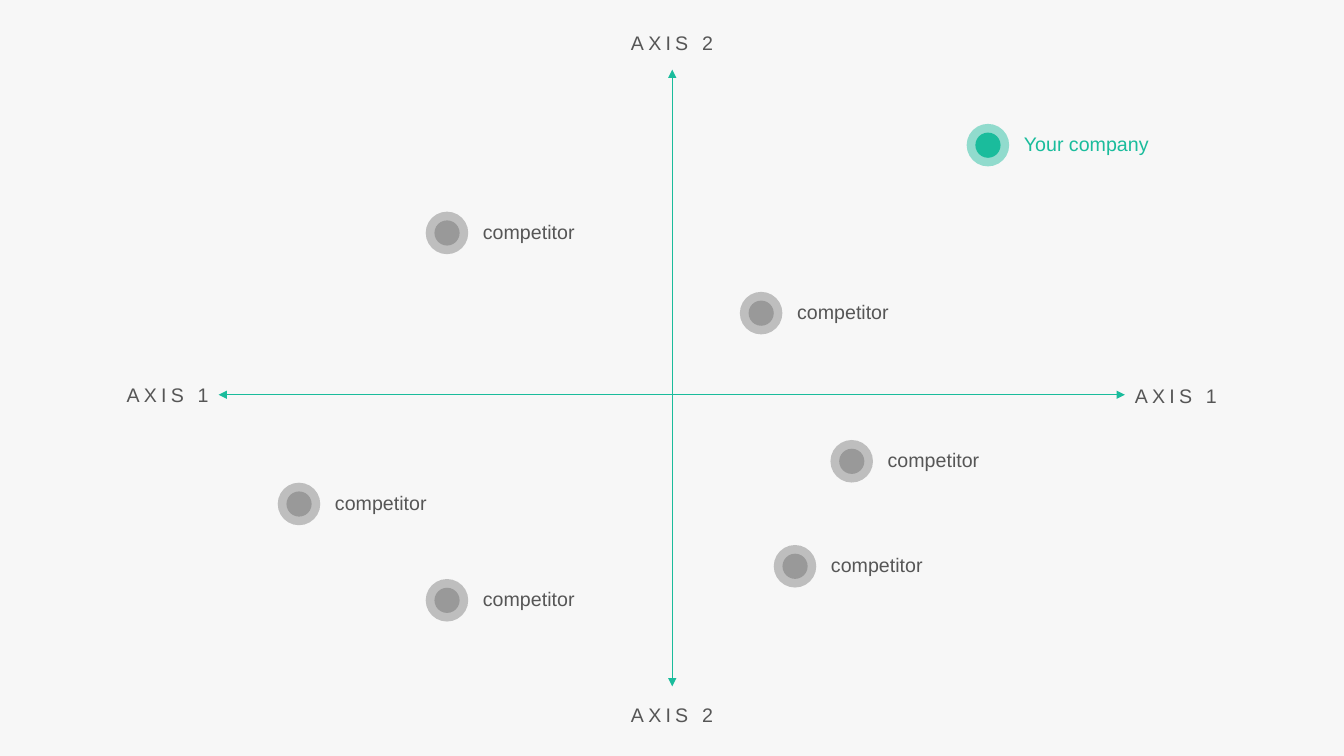
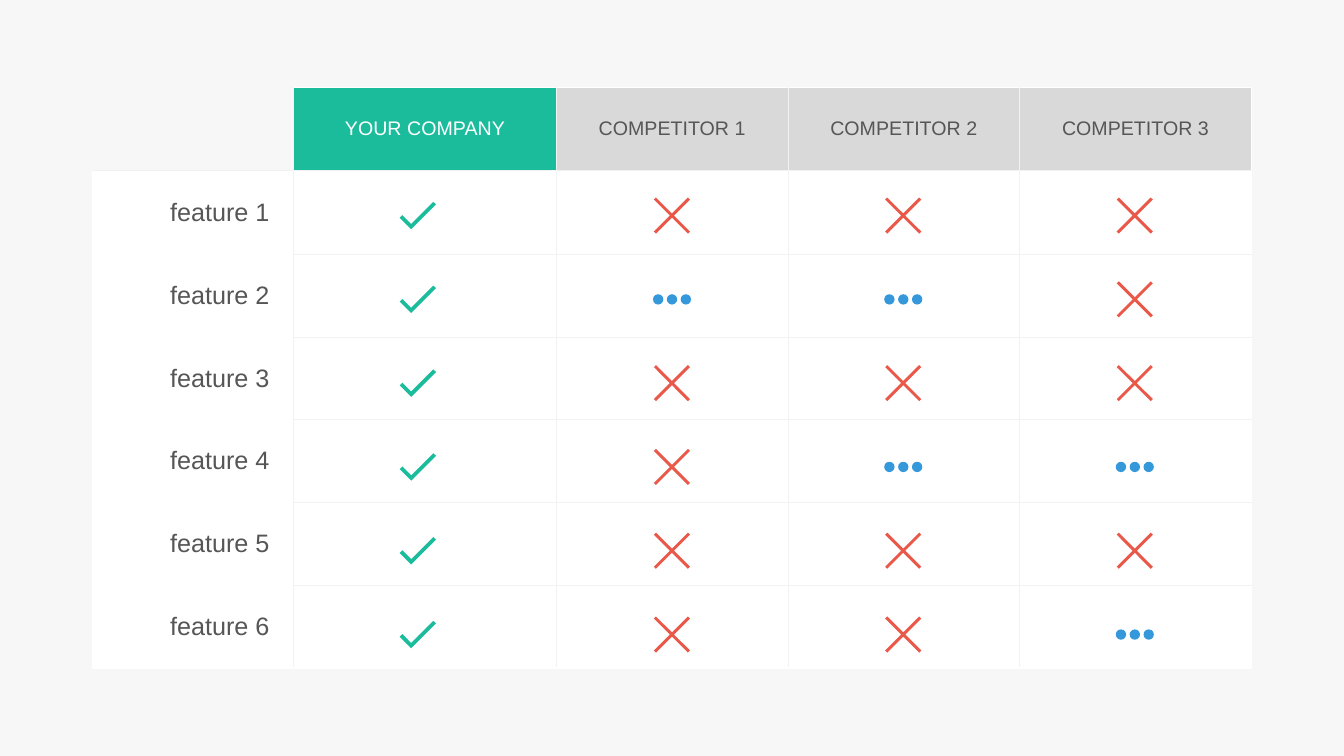
from dataclasses import dataclass

from lxml import etree
from pptx import Presentation
from pptx.dml.color import RGBColor
from pptx.enum import shapes, text
from pptx.oxml import ns
from pptx.util import Pt


@dataclass(frozen=True)
class Theme:
    paper: str = "F7F7F7"
    white: str = "FFFFFF"
    ink: str = "565656"
    accent: str = "1ABC9C"
    header: str = "D9D9D9"
    grid: str = "F2F2F2"
    partial: str = "3498DB"
    missing: str = "E95849"
    font: str = "Arial"
    label_size: float = 14
    feature_size: float = 18
    axis_width: float = 0.5
    grid_width: float = 0.75
    edge_width: float = 1


LEFT, CENTER, RIGHT = text.PP_ALIGN.LEFT, text.PP_ALIGN.CENTER, text.PP_ALIGN.RIGHT
LABEL_WIDTH, LABEL_HEIGHT = 134.6, 24.4
HALO, CORE = 30.4, 18
DOT, DOT_PITCH = 7.4, 9.9
CHECK = [(11, -9.8), (-4.8, 6), (-11.1, -0.3), (-13, 1.6), (-4.8, 9.8), (13, -8)]
CROSS_REACH, CROSS_HALF = 11.4, 1.5
CROSS = []
for turn_x, turn_y in [(1, 0), (0, 1), (-1, 0), (0, -1)]:
    for x, y in [(CROSS_HALF, 0),
                 (CROSS_REACH + CROSS_HALF, CROSS_REACH)]:
        CROSS.append((x * turn_x - y * turn_y, x * turn_y + y * turn_x))
    CROSS.append((CROSS_REACH * turn_x - (CROSS_REACH + CROSS_HALF) * turn_y,
                  CROSS_REACH * turn_y + (CROSS_REACH + CROSS_HALF) * turn_x))


def add_xml(parent, tag, **attributes):
    return etree.SubElement(parent, ns.qn(tag), attributes)


class Deck:
    def __init__(self, theme):
        self.theme = theme
        self.show = Presentation()
        self.show.slide_width, self.show.slide_height = Pt(960), Pt(540)
        self.slide = None

    def new_slide(self):
        self.slide = self.show.slides.add_slide(self.show.slide_layouts[6])
        self.paint(self.slide.background.fill, self.theme.paper)

    def paint(self, fill, color):
        fill.solid()
        fill.fore_color.rgb = RGBColor.from_string(color)

    def style(self, paragraph, color, size, align):
        paragraph.alignment = align
        paragraph.font.name = self.theme.font
        paragraph.font.size = Pt(size)
        paragraph.font.color.rgb = RGBColor.from_string(color)

    def finish(self, shape, color):
        shape.shadow.inherit = False
        shape.line.fill.background()
        self.paint(shape.fill, color)

    def circle(self, parent, x, y, size, color, opacity=100):
        circle = parent.add_shape(shapes.MSO_SHAPE.OVAL, Pt(x - size / 2),
                                  Pt(y - size / 2), Pt(size), Pt(size))
        self.finish(circle, color)
        if opacity < 100:
            tint = circle.fill._xPr.find(".//" + ns.qn("a:srgbClr"))
            add_xml(tint, "a:alpha", val=str(opacity * 1000))

    def label(self, parent, x, y, words, color, align=LEFT, spacing=0):
        box = parent.add_textbox(Pt(x), Pt(y - LABEL_HEIGHT / 2),
                                 Pt(LABEL_WIDTH), Pt(LABEL_HEIGHT))
        frame = box.text_frame
        frame.word_wrap = True
        frame.auto_size = text.MSO_AUTO_SIZE.SHAPE_TO_FIT_TEXT
        frame.vertical_anchor = text.MSO_ANCHOR.MIDDLE
        frame.text = words
        paragraph = frame.paragraphs[0]
        self.style(paragraph, color, self.theme.label_size, align)
        if spacing:
            properties = paragraph._p.pPr.find(ns.qn("a:defRPr"))
            properties.set("spc", str(spacing * 100))

    def axis(self, x1, y1, x2, y2):
        axis = self.slide.shapes.add_connector(
            shapes.MSO_CONNECTOR.STRAIGHT, Pt(x1), Pt(y1), Pt(x2), Pt(y2))
        axis.line.color.rgb = RGBColor.from_string(self.theme.accent)
        axis.line.width = Pt(self.theme.axis_width)
        outline = axis.line._get_or_add_ln()
        add_xml(outline, "a:headEnd", type="triangle")
        add_xml(outline, "a:tailEnd", type="triangle")
        add_xml(axis._element.spPr, "a:effectLst")

    def player(self, x, y, name, color, halo_opacity, core_opacity):
        group = self.slide.shapes.add_group_shape().shapes
        self.circle(group, x, y, HALO, color, halo_opacity)
        self.circle(group, x, y, CORE, color, core_opacity)
        self.label(group, x + 18.6, y - 1.2, name, color)

    def outline(self, x, y, points, color):
        corners = [(Pt(x + dx), Pt(y + dy)) for dx, dy in points]
        builder = self.slide.shapes.build_freeform(*corners[0])
        builder.add_line_segments(corners[1:], close=True)
        self.finish(builder.convert_to_shape(), color)

    def dots(self, x, y):
        group = self.slide.shapes.add_group_shape().shapes
        for step in (-1, 0, 1):
            self.circle(group, x + step * DOT_PITCH, y, DOT, self.theme.partial)

    def mark(self, kind, x, y):
        if kind == "yes":
            self.outline(x, y, CHECK, self.theme.accent)
        elif kind == "no":
            self.outline(x, y, CROSS, self.theme.missing)
        else:
            self.dots(x, y)

    def borders(self, cell, **edges):
        properties = cell._tc.get_or_add_tcPr()
        for side in "LRTB":
            color, width = edges[side] or (None, 0)
            edge = add_xml(properties, "a:ln" + side, w=str(Pt(width)))
            if color:
                fill = add_xml(edge, "a:solidFill")
                add_xml(fill, "a:srgbClr", val=color)
            else:
                add_xml(edge, "a:noFill")

    def cell(self, cell, words, fill, color, size, align):
        cell.vertical_anchor = text.MSO_ANCHOR.MIDDLE
        if fill:
            self.paint(cell.fill, fill)
        else:
            cell.fill.background()
        if words:
            cell.text = words
            self.style(cell.text_frame.paragraphs[0], color, size, align)

    def comparison(self, left, top, widths, heights, companies, features):
        theme = self.theme
        rows, columns = len(heights), len(widths)
        table = self.slide.shapes.add_table(
            rows, columns, Pt(left), Pt(top), Pt(sum(widths)), Pt(sum(heights))).table
        table.first_row = table.horz_banding = False
        for column, width in zip(table.columns, widths):
            column.width = Pt(width)
        for row, height in zip(table.rows, heights):
            row.height = Pt(height)
        inner = (theme.grid, theme.grid_width)
        outer = (theme.white, theme.edge_width)
        for r in range(rows):
            for c in range(columns):
                cell = table.cell(r, c)
                corner, feature = r == c == 0, c == 0 < r
                self.borders(
                    cell,
                    L=None if corner else outer if c == 0 else inner,
                    R=outer if c == columns - 1 else inner,
                    T=(None if corner or feature and r > 1
                       else outer if r == 0 else inner),
                    B=outer if r == rows - 1 else None if feature else inner)
                if corner:
                    self.cell(cell, "", None, theme.ink, theme.label_size, LEFT)
                elif r == 0:
                    own = c == 1
                    self.cell(cell, companies[c - 1],
                              theme.accent if own else theme.header,
                              theme.white if own else theme.ink,
                              theme.label_size, CENTER)
                else:
                    self.cell(cell, features[r - 1] if feature else "",
                              theme.white, theme.ink, theme.feature_size, RIGHT)
                if feature:
                    cell.margin_right = Pt(17.3)


def positioning_map(deck):
    theme = deck.theme
    deck.new_slide()
    deck.axis(480.2, 49.7, 480.2, 490.3)
    deck.axis(156.2, 282, 803.5, 282)
    deck.player(705.7, 103.7, "Your company", theme.accent, 46, 100)
    for x, y in [(543.7, 223.7), (608.4, 329.5), (567.9, 404.5),
                 (213.6, 360), (319.3, 428.8), (319.3, 166.4)]:
        deck.player(x, y, "competitor", theme.ink, 35, 35)
    for x, y, words, align in [(412.8, 30.2, "AXIS 2", CENTER),
                               (412.8, 510.4, "AXIS 2", CENTER),
                               (803.5, 282.6, "AXIS 1", LEFT),
                               (21.6, 282.2, "AXIS 1", RIGHT)]:
        deck.label(deck.slide.shapes, x, y, words, theme.ink, align, spacing=3)


def feature_comparison(deck):
    deck.new_slide()
    deck.comparison(
        66.1, 62.6, [143.7, 187.6] + [165.5] * 3, [59.1, 60.1] + [59.1] * 5,
        ["YOUR COMPANY"] + [f"COMPETITOR {n}" for n in range(1, 4)],
        [f"feature {n}" for n in range(1, 7)])
    ratings = [("yes", "no", "no", "no"),
               ("yes", "partly", "partly", "no"),
               ("yes", "no", "no", "no"),
               ("yes", "no", "partly", "partly"),
               ("yes", "no", "no", "no"),
               ("yes", "no", "no", "partly")]
    for row, kinds in enumerate(ratings):
        for x, kind in zip((298.5, 480, 645.2, 810.6), kinds):
            deck.mark(kind, x, 154 + row * 59.85)


def main():
    deck = Deck(Theme())
    positioning_map(deck)
    feature_comparison(deck)
    deck.show.save("out.pptx")


if __name__ == "__main__":
    main()
